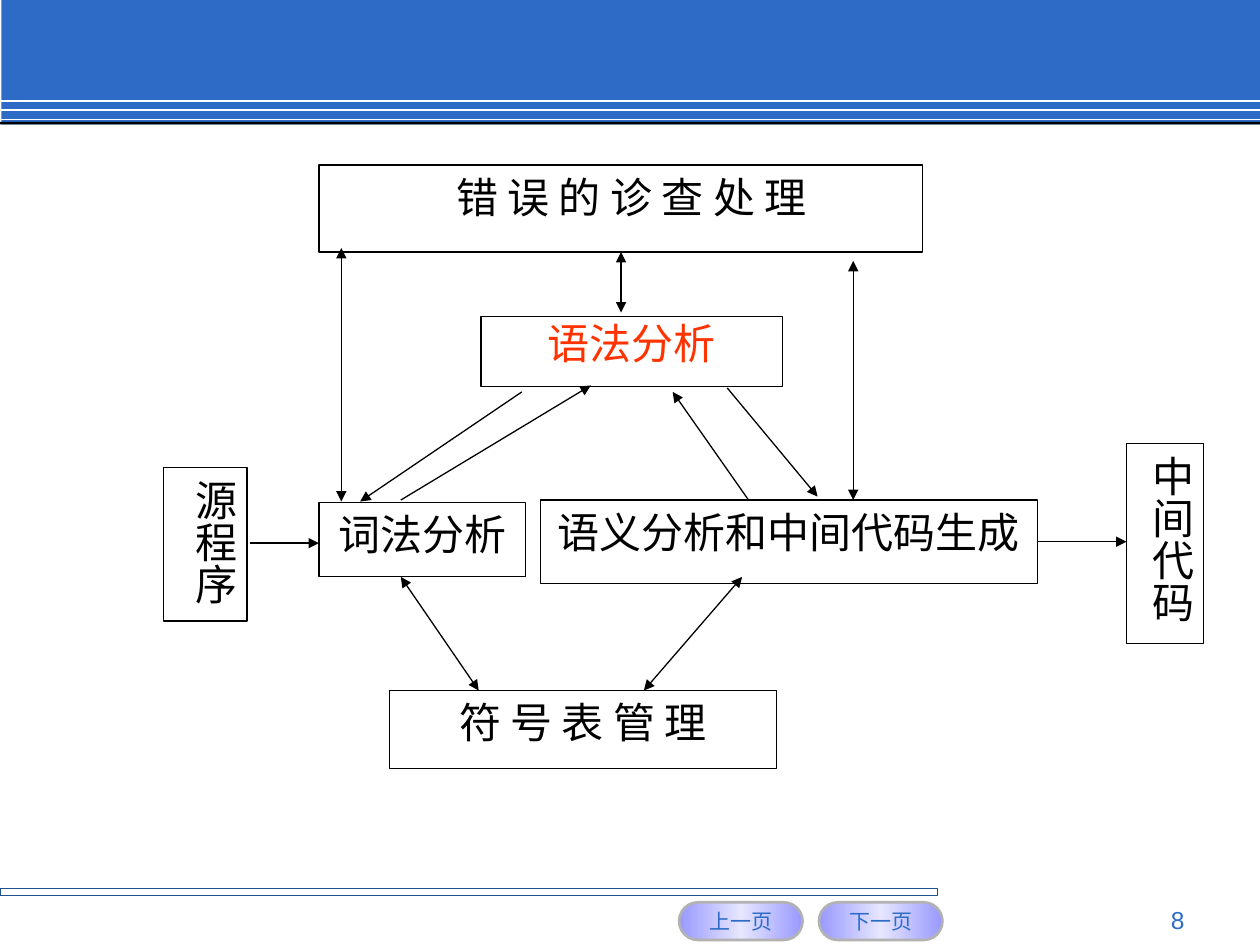
"""Build the slide that shows how the parts of a compiler work together."""
from copy import deepcopy

from pptx import Presentation
from pptx.dml.color import RGBColor
from pptx.enum.shapes import MSO_CONNECTOR, MSO_SHAPE
from pptx.enum.text import MSO_ANCHOR, PP_ALIGN
from pptx.oxml import parse_xml
from pptx.oxml.ns import nsdecls, qn
from pptx.util import Cm, Pt

THEME = {
    "blue": "2D6BC7", "navy": "1D528D", "black": "000000", "white": "FFFFFF",
    "red": "FF3300", "grey": "B2B2B2", "violet": "9999FF", "pale": "E6E6FF",
    "box_font": "Times New Roman", "page_font": "Arial",
    "box_size": 24, "button_size": 12, "number_size": 14,
    "thin": 0.75, "rule": 1, "edge": 1.5,
}
SLIDE_WIDTH, SLIDE_HEIGHT = 25.4, 19.05
WIDE_INSETS = (0.25, 0.13, 0.25, 0.13)
TALL_INSETS = (0.13, 0.25, 0.13, 0.25)

BARS = [
    ((0.03, 0, 25.37, 2.51), "blue", None),
    ((0, 2.46, SLIDE_WIDTH, 0.05), "black", None),
    ((0, 17.91, 18.9, 0.15), None, "navy"),
]
RULE_HEIGHTS = [2.03, 2.22, 2.41]
BUTTONS = ["上一页", "下一页"]
BUTTON_LEFT, BUTTON_STEP = 13.69, 2.82
PAGE_NUMBER = "8"

BOXES = [
    ("词法分析", (6.43, 10.13, 4.17, 1.5), {}),
    ("语法分析", (9.7, 6.38, 6.07, 1.42), {"color": "red", "insets": (0.25, 0.03, 0.25, 0.13)}),
    ("语义分析和中间代码生成", (10.9, 10.08, 10.01, 1.68), {}),
    ("源程序", (3.3, 9.42, 1.68, 3.1), {"vertical": True, "insets": TALL_INSETS}),
    ("中间代码", (22.71, 8.94, 1.55, 4.04), {"vertical": True, "insets": TALL_INSETS}),
    ("符 号 表 管 理", (7.85, 13.92, 7.8, 1.57), {}),
    ("错 误 的 诊 查 处 理", (6.43, 3.33, 12.17, 1.75), {"insets": (0.68, 0.13, 0.25, 0.13)}),
]
ONE_WAY_ARROWS = [
    (5.03, 10.95, 6.43, 10.95),
    (20.9, 10.92, 22.71, 10.92),
    (10.52, 7.9, 7.26, 10.11),
    (8.08, 10.08, 11.91, 7.77),
    (14.66, 7.82, 16.48, 10.01),
    (15.09, 10.08, 13.56, 7.9),
]
TWO_WAY_ARROWS = [
    (8.08, 11.63, 9.65, 13.92),
    (14.96, 11.63, 12.98, 13.92),
    (6.88, 5, 6.88, 10.11),
    (12.52, 5.08, 12.52, 6.3),
    (17.2, 5.26, 17.2, 10.08),
]


def color_of(name):
    """Return the theme colour with this name."""
    return RGBColor.from_string(THEME[name])


def lengths(values):
    """Turn centimetres into slide lengths."""
    return [Cm(value) for value in values]


def set_line(line, color, width):
    """Give a line its colour and width, or hide it."""
    if color is None:
        line.fill.background()
        return
    line.color.rgb = color_of(color)
    line.width = Pt(width)


def add_block(slide, place, fill=None, line=None, width=THEME["thin"], kind=MSO_SHAPE.RECTANGLE):
    """Add a flat preset shape."""
    shape = slide.shapes.add_shape(kind, *lengths(place))
    shape.shadow.inherit = False
    if fill:
        shape.fill.solid()
        shape.fill.fore_color.rgb = color_of(fill)
    else:
        shape.fill.background()
    set_line(shape.line, line, width)
    return shape


def write(shape, text, font, size, color="black", align=PP_ALIGN.CENTER,
          anchor=MSO_ANCHOR.TOP, insets=WIDE_INSETS, wrap=True, vertical=False):
    """Write one paragraph into a shape."""
    frame = shape.text_frame
    left, top, right, bottom = lengths(insets)
    frame_format = {
        "margin_left": left, "margin_top": top, "margin_right": right,
        "margin_bottom": bottom, "word_wrap": wrap, "vertical_anchor": anchor,
    }
    for name, value in frame_format.items():
        setattr(frame, name, value)
    if vertical:
        frame._txBody.bodyPr.set("vert", "eaVert")
    paragraph = frame.paragraphs[0]
    paragraph.alignment = align
    run = paragraph.add_run()
    run.text = text
    for name, value in {"name": THEME[font], "size": Pt(THEME[size])}.items():
        setattr(run.font, name, value)
    run.font.color.rgb = color_of(color)


def add_line(slide, ends, color="black", width=THEME["thin"], heads=()):
    """Add a straight line with the given arrowheads."""
    connector = slide.shapes.add_connector(MSO_CONNECTOR.STRAIGHT, *lengths(ends))
    set_line(connector.line, color, width)
    for head in heads:
        connector.line._get_or_add_ln().append(
            parse_xml(f'<a:{head} {nsdecls("a")} type="triangle"/>'))
    connector._element.spPr.append(parse_xml(f'<a:effectLst {nsdecls("a")}/>'))


def add_button(slide, text, left):
    """Add a rounded button that is pale in the middle."""
    button = add_block(slide, (left, 18.19, 2.49, 0.76), line="grey",
                       width=THEME["edge"], kind=MSO_SHAPE.ROUNDED_RECTANGLE)
    button.adjustments[0] = 0.5
    button.fill.gradient()
    button.fill.gradient_angle = 0
    stop_list = button._element.spPr.find(".//" + qn("a:gsLst"))
    stop_list.insert(1, deepcopy(stop_list[0]))
    stops = zip(button.fill.gradient_stops, (0, 0.5, 1), ("violet", "pale", "violet"))
    for stop, position, color in stops:
        stop.position = position
        stop.color.rgb = color_of(color)
    write(button, text, "page_font", "button_size", "blue",
          anchor=MSO_ANCHOR.MIDDLE, wrap=False)


def main():
    """Build and save the presentation."""
    presentation = Presentation()
    presentation.slide_width = Cm(SLIDE_WIDTH)
    presentation.slide_height = Cm(SLIDE_HEIGHT)
    slide = presentation.slides.add_slide(presentation.slide_layouts[6])

    banner, *other_bars = BARS
    add_block(slide, *banner)
    for height in RULE_HEIGHTS:
        add_line(slide, (0, height, SLIDE_WIDTH, height), "white", THEME["rule"])
    for bar in other_bars:
        add_block(slide, *bar)
    for index, text in enumerate(BUTTONS):
        add_button(slide, text, BUTTON_LEFT + index * BUTTON_STEP)
    number = slide.shapes.add_textbox(*lengths((18.21, 18.11, 5.92, 0.69)))
    write(number, PAGE_NUMBER, "page_font", "number_size", "blue", PP_ALIGN.RIGHT)

    for text, place, options in BOXES:
        box = add_block(slide, place, "white", "black")
        write(box, text, "box_font", "box_size", **options)
    for ends in ONE_WAY_ARROWS:
        add_line(slide, ends, heads=["tailEnd"])
    for ends in TWO_WAY_ARROWS:
        add_line(slide, ends, heads=["headEnd", "tailEnd"])
    presentation.save("out.pptx")


if __name__ == "__main__":
    main()
